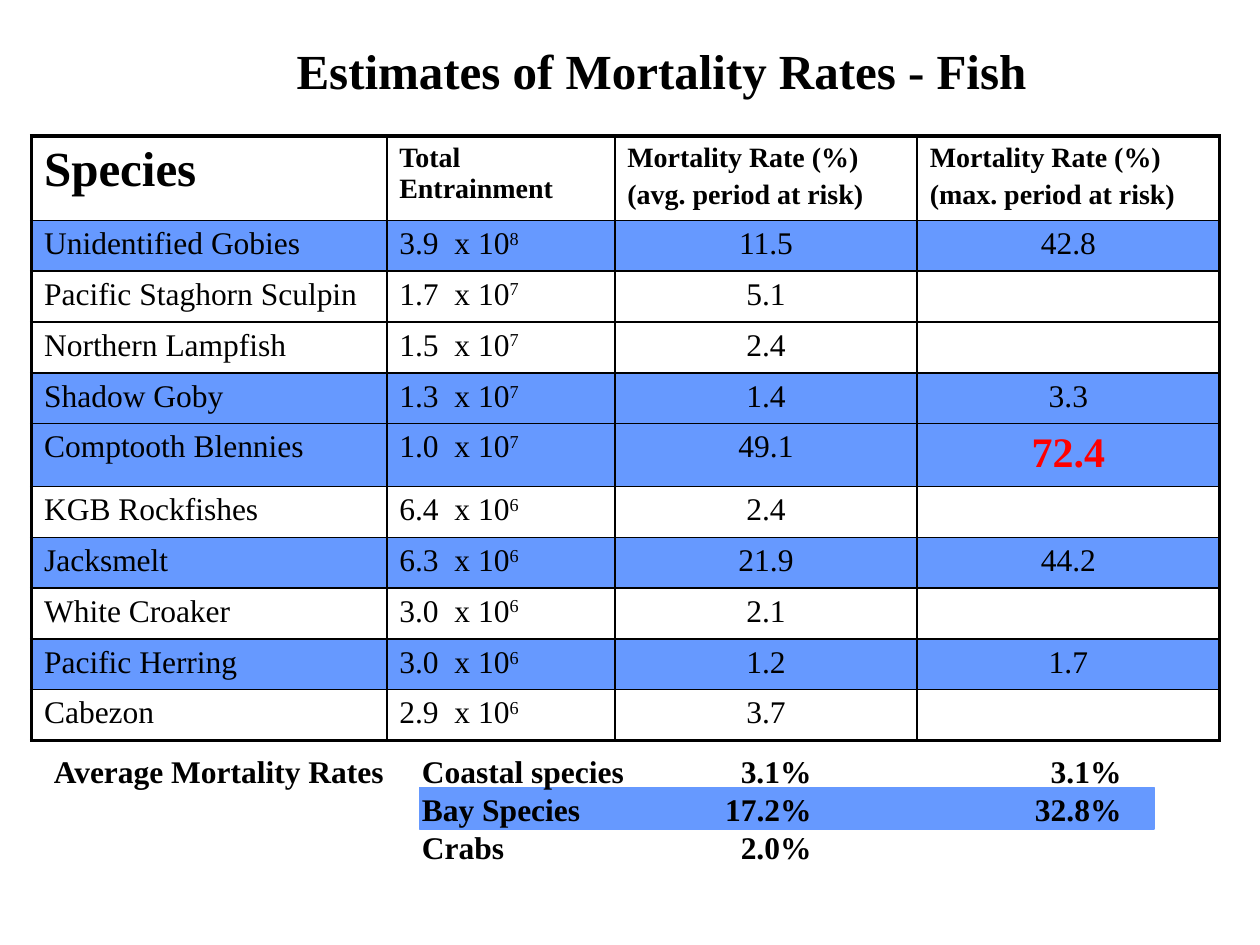
import pptx
import pptx.util
import pptx.dml.color
import pptx.enum.shapes
import pptx.enum.text
import pptx.oxml
import pptx.oxml.ns
from dataclasses import dataclass

Inches, Pt = pptx.util.Inches, pptx.util.Pt
RGB = pptx.dml.color.RGBColor.from_string
LEFT = pptx.enum.text.PP_ALIGN.LEFT
CENTER = pptx.enum.text.PP_ALIGN.CENTER
RIGHT = pptx.enum.text.PP_ALIGN.RIGHT


@dataclass(frozen=True)
class Theme:
    font: str = "Times New Roman"
    ink: str = "000000"
    bay: str = "6699FF"
    alert: str = "FF0000"
    title: int = 28
    peak: int = 24
    body: int = 18
    header: int = 16
    outer: float = 2.25
    inner: float = 1


theme = Theme()


def add_run(p, text, size=theme.body, bold=False, color=theme.ink):
    r = p.add_run()
    r.text = text
    r.font.name = theme.font
    r.font.size = Pt(size)
    r.font.bold = bold
    r.font.color.rgb = RGB(color)
    return r


def set_border(cell, index, side, width):
    ln = pptx.oxml.parse_xml(
        f'<a:ln{side} {pptx.oxml.ns.nsdecls("a")} w="{Pt(width)}">'
        f'<a:solidFill><a:srgbClr val="{theme.ink}"/></a:solidFill></a:ln{side}>'
    )
    cell._tc.get_or_add_tcPr().insert(index, ln)


prs = pptx.Presentation()
prs.slide_width, prs.slide_height = Inches(10), Inches(7.5)
s = prs.slides.add_slide(prs.slide_layouts[5])

sp = s.shapes.title
sp.left, sp.top, sp.width, sp.height = Inches(2.25), Inches(0.27), Inches(6), Inches(0.57)
tf = sp.text_frame
tf.auto_size = pptx.enum.text.MSO_AUTO_SIZE.NONE
tf.word_wrap = False
tf.vertical_anchor = pptx.enum.text.MSO_ANCHOR.TOP
p = tf.paragraphs[0]
p.alignment = CENTER
add_run(p, "Estimates of Mortality Rates - Fish", theme.title, True)

sp = s.shapes.add_shape(pptx.enum.shapes.MSO_SHAPE.RECTANGLE,
                        Inches(3.33), Inches(6.25), Inches(5.83), Inches(0.33))
sp.shadow.inherit = False
sp.fill.solid()
sp.fill.fore_color.rgb = RGB(theme.bay)
sp.line.color.rgb = RGB(theme.bay)
sp.line.width = Pt(0.75)

headers = [
    (["Species"], theme.title),
    (["Total Entrainment"], theme.header),
    (["Mortality Rate (%)", "(avg. period at risk)"], theme.header),
    (["Mortality Rate (%)", "(max. period at risk)"], theme.header),
]
species = [
    ("Unidentified Gobies", "3.9", "8", "11.5", "42.8"),
    ("Pacific Staghorn Sculpin", "1.7", "7", "5.1", ""),
    ("Northern Lampfish", "1.5", "7", "2.4", ""),
    ("Shadow Goby", "1.3", "7", "1.4", "3.3"),
    ("Comptooth Blennies", "1.0", "7", "49.1", "72.4"),
    ("KGB Rockfishes", "6.4", "6", "2.4", ""),
    ("Jacksmelt", "6.3", "6", "21.9", "44.2"),
    ("White Croaker", "3.0", "6", "2.1", ""),
    ("Pacific Herring", "3.0", "6", "1.2", "1.7"),
    ("Cabezon", "2.9", "6", "3.7", ""),
]
peak = "72.4"
rows, cols = len(species) + 1, len(headers)

tbl = s.shapes.add_table(rows, cols, Inches(0.25), Inches(1.08), Inches(9.43), Inches(4.82)).table
tbl.first_row = tbl.horz_banding = False
for col, width in zip(tbl.columns, [2.82, 1.81, 2.4, 2.4]):
    col.width = Inches(width)
tbl.rows[0].height = Inches(0.67)

for c, (lines, size) in enumerate(headers):
    tf = tbl.cell(0, c).text_frame
    for i, line in enumerate(lines):
        p = tf.add_paragraph() if i else tf.paragraphs[0]
        if i:
            p.space_before = Pt(size * 0.2)
        add_run(p, line, size, True)

for n, (name, mantissa, exponent, average, maximum) in enumerate(species, 1):
    tbl.rows[n].height = Inches(0.5 if maximum == peak else 0.4)
    paras = [tbl.cell(n, c).text_frame.paragraphs[0] for c in range(cols)]
    add_run(paras[0], name)
    add_run(paras[1], f"{mantissa}  x 10")
    r = add_run(paras[1], exponent)
    r._r.get_or_add_rPr().set("baseline", "30000")
    paras[2].alignment = paras[3].alignment = CENTER
    add_run(paras[2], average)
    if maximum == peak:
        add_run(paras[3], maximum, theme.peak, True, theme.alert)
    elif maximum:
        add_run(paras[3], maximum)

for n in range(rows):
    for c in range(cols):
        cell = tbl.cell(n, c)
        if n and species[n - 1][-1]:
            cell.fill.solid()
            cell.fill.fore_color.rgb = RGB(theme.bay)
        else:
            cell.fill.background()
        edges = [("L", c == 0), ("R", c == cols - 1), ("T", n == 0), ("B", n == rows - 1)]
        for i, (side, outside) in enumerate(edges):
            set_border(cell, i, side, theme.outer if outside else theme.inner)

summaries = [
    (0.33, 2.84, LEFT, ["Average Mortality Rates"]),
    (3.25, 1.81, LEFT, ["Coastal species", "Bay Species", "Crabs"]),
    (5.65, 0.89, RIGHT, ["3.1%", "17.2%", "2.0%"]),
    (8.11, 0.89, RIGHT, ["3.1%", "32.8%"]),
]
for left, width, align, lines in summaries:
    sp = s.shapes.add_textbox(Inches(left), Inches(5.92), Inches(width), Inches(0.1 + 0.3 * len(lines)))
    tf = sp.text_frame
    tf.word_wrap = False
    for i, line in enumerate(lines):
        p = tf.add_paragraph() if i else tf.paragraphs[0]
        p.alignment = align
        add_run(p, line, bold=True)

prs.save("out.pptx")
